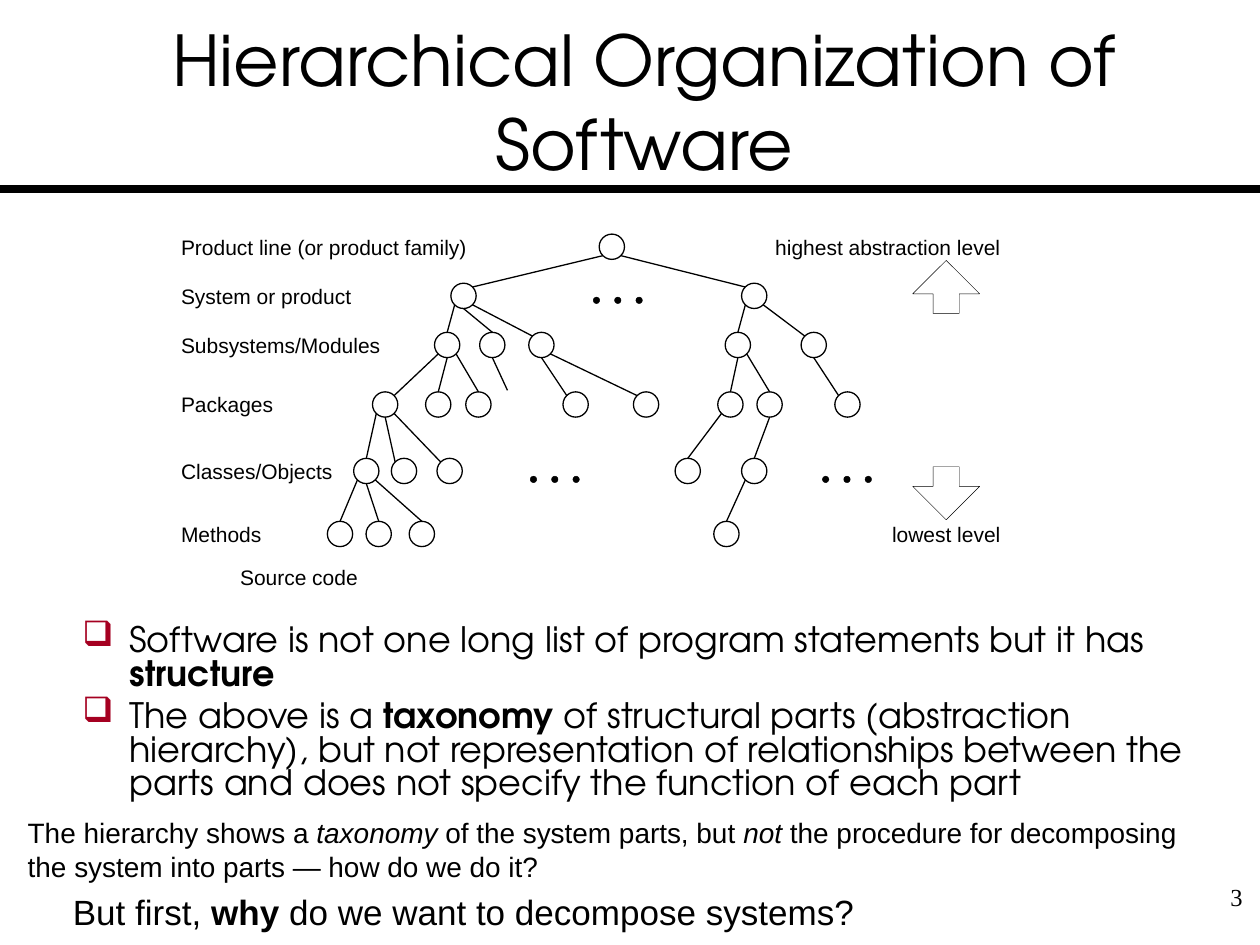
from lxml.etree import SubElement
from pptx import Presentation
from pptx.dml.color import RGBColor
from pptx.enum.shapes import MSO_CONNECTOR, MSO_SHAPE
from pptx.enum.text import MSO_ANCHOR, PP_ALIGN
from pptx.oxml.ns import qn
from pptx.util import Cm, Pt

BLACK, WHITE, RED = "000000", "FFFFFF", "A50021"
HEAD, BODY, PAGE = "TeX Gyre Adventor", "Arial", "Times New Roman"
SIZE = 0.51
ROWS = [0, 0.99, 1.98, 3.18, 4.52, 5.79]
LABELS = [
    ("Product line (or product family)", 6),
    ("System or product", 3.7),
    ("Subsystems/Modules", 4.3),
    ("Packages", 2.1),
    ("Classes/Objects", 3.3),
    ("Methods", 1.9),
]
NODES = [
    [8.43],
    [5.44, 11.3],
    [5.11, 6.02, 7.01, 10.97, 12.5],
    [3.86, 4.93, 5.74, 7.7, 9.12, 10.82, 11.61, 13.18],
    [3.48, 4.24, 5.16, 9.96, 11.3],
    [2.95, 3.73, 4.6, 10.74],
]
EDGES = [
    [(0, "sw", 0, "ne"), (0, "se", 1, "nw")],
    [(0, "sw", 0, "n"), (0, "s", 1, "n"), (0, "se", 2, "nw"),
     (1, "sw", 3, "n"), (1, "se", 4, "nw")],
    [(0, "sw", 0, "ne"), (0, "s", 1, "n"), (0, "se", 2, "n"),
     (2, "s", 3, "nw"), (2, "se", 4, "nw"),
     (3, "s", 5, "n"), (3, "se", 6, "n"), (4, "s", 7, "nw")],
    [(0, "sw", 0, "n"), (0, "s", 1, "nw"), (0, "se", 2, "nw"),
     (5, "sw", 3, "n"), (6, "s", 4, "n")],
    [(0, "sw", 0, "n"), (0, "s", 1, "n"), (0, "se", 2, "n"),
     (4, "sw", 3, "n")],
]
SITES = {"n": (0.5, 0), "s": (0.5, 1), "nw": (0.15, 0.15),
         "ne": (0.85, 0.15), "sw": (0.15, 0.85), "se": (0.85, 0.85)}
DOTS = [(8.31, 1.27), (7.04, 4.88), (12.93, 4.88)]
POINTS = [
    [("Software is not one long list of program statements but it has ", ""),
     ("structure", "b")],
    [("The above is a ", ""), ("taxonomy", "b"),
     (" of structural parts (abstraction hierarchy), but not representation "
      "of relationships between the parts and does not specify the function "
      "of each part", "")],
]
NOTE = [("The hierarchy shows a ", ""), ("taxonomy", "i"),
        (" of the system parts, but ", ""), ("not", "i"),
        (" the procedure for decomposing the system into parts — "
         "how do we do it?", "")]
ASK = [("But first, ", ""), ("why", "b"),
       (" do we want to decompose systems?", "")]


def tint(code):
    """Turn a hex string into a colour."""
    return RGBColor.from_string(code)


def write(slide, box, paras, size, font=BODY, align=PP_ALIGN.LEFT,
          pad=(0, 0)):
    """Place a text box holding paragraphs of (text, style) runs."""
    frame = slide.shapes.add_textbox(*map(Cm, box)).text_frame
    frame.word_wrap = True
    frame.margin_left = frame.margin_right = Cm(pad[0])
    frame.margin_top = frame.margin_bottom = Cm(pad[1])
    for num, runs in enumerate(paras):
        para = frame.add_paragraph() if num else frame.paragraphs[0]
        para.alignment = align
        para.font.size, para.font.name = Pt(size), font
        para.font.color.rgb = tint(BLACK)
        for text, style in runs:
            run = para.add_run()
            run.text = text
            if style:
                run.font.bold = style == "b"
                run.font.italic = style == "i"
    return frame


def draw(slide, kind, box, fill, width):
    """Place a black-edged preset shape."""
    shape = slide.shapes.add_shape(kind, *map(Cm, box))
    shape.shadow.inherit = False
    if fill:
        shape.fill.solid()
        shape.fill.fore_color.rgb = tint(fill)
    else:
        shape.fill.background()
    shape.line.color.rgb = tint(BLACK)
    shape.line.width = Pt(width)
    return shape


def link(slide, start, end, width=0.75):
    """Join two points with a black line."""
    line = slide.shapes.add_connector(
        MSO_CONNECTOR.STRAIGHT, *map(Cm, (*start, *end)))
    line.line.color.rgb = tint(BLACK)
    line.line.width = Pt(width)
    SubElement(line._element.spPr, qn("a:effectLst"))


def header(slide, left, top, width, height):
    """Place the title and the rule below it."""
    link(slide, (left, top + height), (left + width, top + height), 4.5)
    frame = write(slide, (left + 1.07, top + 0.43, 23.83, 3.18),
                  [[("Hierarchical Organization of Software", "")]],
                  40, HEAD, PP_ALIGN.CENTER, (0, 0.13))
    frame.vertical_anchor = MSO_ANCHOR.MIDDLE


def tree(slide, left, top):
    """Place the nodes, edges and ellipses of the hierarchy."""
    def site(row, num, side):
        """Find a point on the rim of a node."""
        x, y = SITES[side]
        return (left + NODES[row][num] + x * SIZE, top + ROWS[row] + y * SIZE)

    for y, row in zip(ROWS, NODES):
        for x in row:
            draw(slide, MSO_SHAPE.OVAL, (left + x, top + y, SIZE, SIZE),
                 WHITE, 0.75)
    for row, edges in enumerate(EDGES):
        for head, out, tail, into in edges:
            link(slide, site(row, head, out), site(row + 1, tail, into))
    link(slide, site(2, 1, "s"), (left + 6.58, top + 3.15))
    for x, y in DOTS:
        for num in range(3):
            draw(slide, MSO_SHAPE.OVAL,
                 (left + x + num * 0.43, top + y, 0.13, 0.13), BLACK, 0.25)


def legend(slide, left, top):
    """Place the level names and the abstraction arrows."""
    for y, (text, width) in zip(ROWS, LABELS):
        write(slide, (left, top + y, width, SIZE), [[(text, "")]], 12)
    write(slide, (left + 1.19, top + 6.67, 2.7, SIZE),
          [[("Source code", "")]], 12)
    ends = [("highest abstraction level", 4.9, ROWS[0],
             MSO_SHAPE.UP_ARROW, 0.53),
            ("lowest level", 2.5, ROWS[-1], MSO_SHAPE.DOWN_ARROW, 4.69)]
    for text, width, y, kind, rise in ends:
        write(slide, (left + 16.55 - width, top + y, width, SIZE),
              [[(text, "")]], 12, align=PP_ALIGN.RIGHT, pad=(0.03, 0))
        arrow = draw(slide, kind, (left + 14.75, top + rise, 1.35, 1.07),
                     None, 0.25)
        arrow.adjustments[0], arrow.adjustments[1] = 0.39, 0.63


def points(slide, *box):
    """Place the bulleted statements."""
    frame = write(slide, box, POINTS, 20, HEAD, pad=(0.25, 0.13))
    for para in frame.paragraphs:
        para.line_spacing = 0.8
        para.space_before = Pt(5)
        props = para._p.get_or_add_pPr()
        props.set("marL", str(Cm(0.95)))
        props.set("indent", str(-Cm(0.95)))
        color = SubElement(props, qn("a:buClr"))
        SubElement(color, qn("a:srgbClr")).set("val", RED)
        SubElement(props, qn("a:buChar")).set("char", "❑")
        props.append(props.find(qn("a:defRPr")))


def footer(slide, left, top):
    """Place the closing remarks and the page number."""
    write(slide, (left, top, 23.44, 1.35), [NOTE], 16)
    write(slide, (left + 0.91, top + 1.52, 16.2, 0.84), [ASK], 20)
    write(slide, (left + 23.37, top + 1.22, 1.37, 1.27), [[("3", "")]], 14,
          PAGE, PP_ALIGN.RIGHT, (0.25, 0.13))


def main():
    """Build the slide and save it."""
    deck = Presentation()
    deck.slide_width, deck.slide_height = Cm(25.4), Cm(19.05)
    slide = deck.slides.add_slide(deck.slide_layouts[6])
    header(slide, 0, 0, 25.4, 3.81)
    tree(slide, 3.65, 4.72)
    legend(slide, 3.65, 4.72)
    points(slide, 1.41, 12.48, 23.37, 4.09)
    footer(slide, 0.56, 16.44)
    deck.save("out.pptx")


if __name__ == "__main__":
    main()
